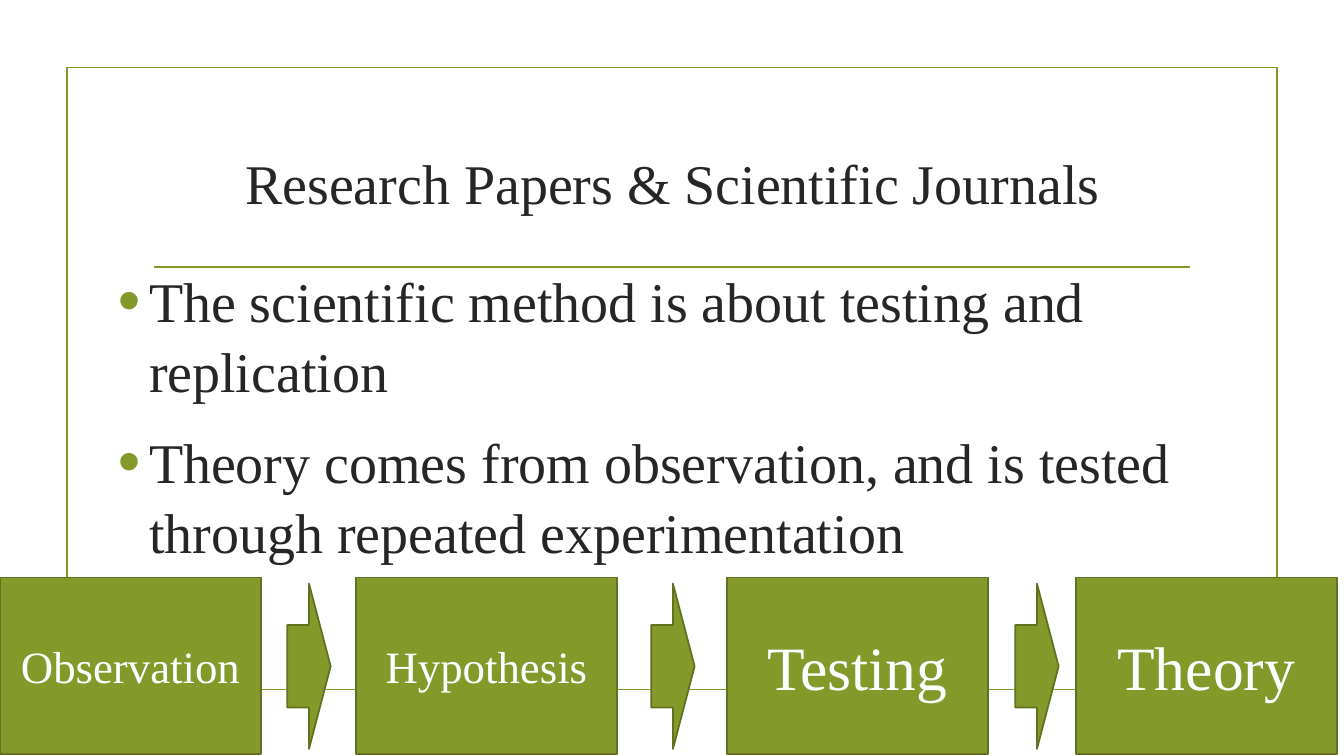
from pptx import Presentation
from pptx.dml.color import RGBColor as RGB
from pptx.enum.shapes import MSO_CONNECTOR as CONN, MSO_SHAPE as SHAPE
from pptx.enum.text import MSO_ANCHOR as ANCHOR, PP_ALIGN as ALIGN
from pptx.oxml.ns import qn
from pptx.util import Inches, Pt
from lxml.etree import SubElement as Sub

THEME = {
    "font": "Times New Roman",
    "green": RGB.from_string("83992A"), "edge": RGB.from_string("61711F"),
    "ink": RGB.from_string("262626"), "white": RGB.from_string("FFFFFF"),
    "text": 40, "small": 32, "big": 44, "rule": 1.25,
}
WIDE, HIGH = 13.33, 7.5

deck = Presentation()
deck.slide_width, deck.slide_height = Inches(WIDE), Inches(HIGH)
slide = deck.slides.add_slide(deck.slide_layouts[6])
shapes = slide.shapes


def draw(kind, left, top, width, height, fill, edge):
    box = shapes.add_shape(kind, *map(Inches, (left, top, width, height)))
    box.shadow.inherit = False
    if fill is None:
        box.fill.background()
    else:
        box.fill.solid()
        box.fill.fore_color.rgb = fill
    box.line.color.rgb = edge
    box.line.width = Pt(THEME["rule"])
    return box


def style(par, size, color, align):
    par.alignment = align
    par.font.name = THEME["font"]
    par.font.size = Pt(size)
    par.font.color.rgb = color


# Frame, centred across the slide
frame = 12
draw(SHAPE.RECTANGLE, (WIDE - frame) / 2, 0.67, frame, 6.17, None, THEME["green"])

# Rule under the title
inset, level = 1.53, 2.65
rule = shapes.add_connector(CONN.STRAIGHT, Inches(inset), Inches(level),
                            Inches(WIDE - inset), Inches(level))
rule.line.color.rgb = THEME["green"]
rule.line.width = Pt(THEME["rule"])
Sub(rule._element.spPr, qn("a:effectLst"))

# Title
title = shapes.add_textbox(*map(Inches, (1.42, 1.09, 10.5, 1.43))).text_frame
title.word_wrap = True
title.vertical_anchor = ANCHOR.MIDDLE
title.text = "Research Papers & Scientific Journals"
style(title.paragraphs[0], THEME["text"], THEME["ink"], ALIGN.CENTER)

# Bulleted points
points = [
    "The scientific method is about testing and replication",
    "Theory comes from observation, and is tested through repeated experimentation",
]
body = shapes.add_textbox(*map(Inches, (1.07, 2.57, 11.82, 3.16))).text_frame
body.word_wrap = True
for i, point in enumerate(points):
    par = body.add_paragraph() if i else body.paragraphs[0]
    par.text = point
    par.line_spacing = 1.04
    par.space_before = Pt(9 if i else 0)
    par.space_after = Pt(6)
    props = par._p.get_or_add_pPr()
    props.set("marL", str(Inches(0.31)))
    props.set("indent", str(Inches(-0.31)))
    Sub(Sub(props, qn("a:buClr")), qn("a:srgbClr"), val=str(THEME["green"]))
    Sub(props, qn("a:buSzPct"), val="115000")
    Sub(props, qn("a:buFont"), typeface="Arial")
    Sub(props, qn("a:buChar"), char="•")
    style(par, THEME["text"], THEME["ink"], ALIGN.LEFT)

# Steps of the scientific method
steps = [("Observation", 0, "small"), ("Hypothesis", 3.53, "small"),
         ("Testing", 7.21, "big"), ("Theory", 10.67, "big")]
for name, left, size in steps:
    box = draw(SHAPE.RECTANGLE, left, 5.73, 2.59, 1.75, THEME["green"], THEME["edge"])
    text = box.text_frame
    text.word_wrap = True
    text.vertical_anchor = ANCHOR.MIDDLE
    text.text = name
    style(text.paragraphs[0], THEME[size], THEME["white"], ALIGN.CENTER)

# Arrows between the steps, evenly spaced
for i in range(len(steps) - 1):
    draw(SHAPE.RIGHT_ARROW, 2.85 + 3.61 * i, 5.79, 0.43, 1.64,
         THEME["green"], THEME["edge"])

deck.save("out.pptx")
